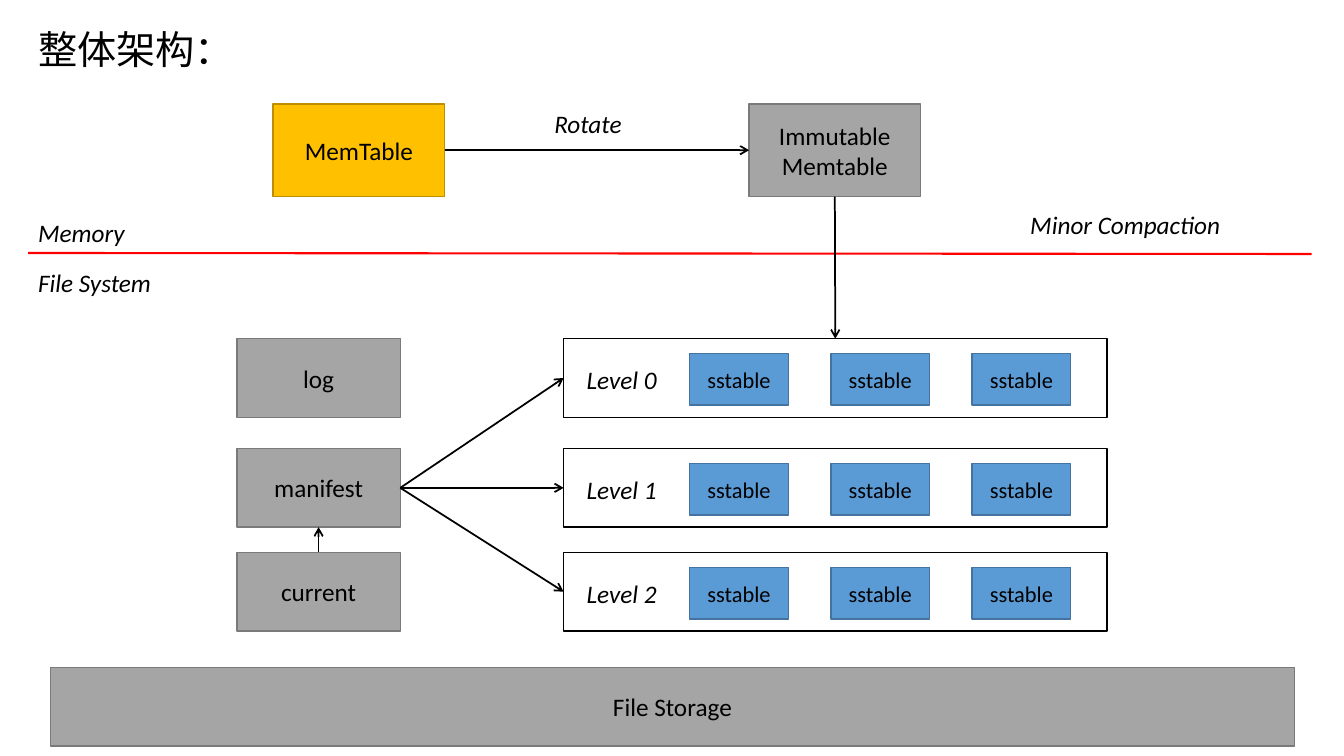
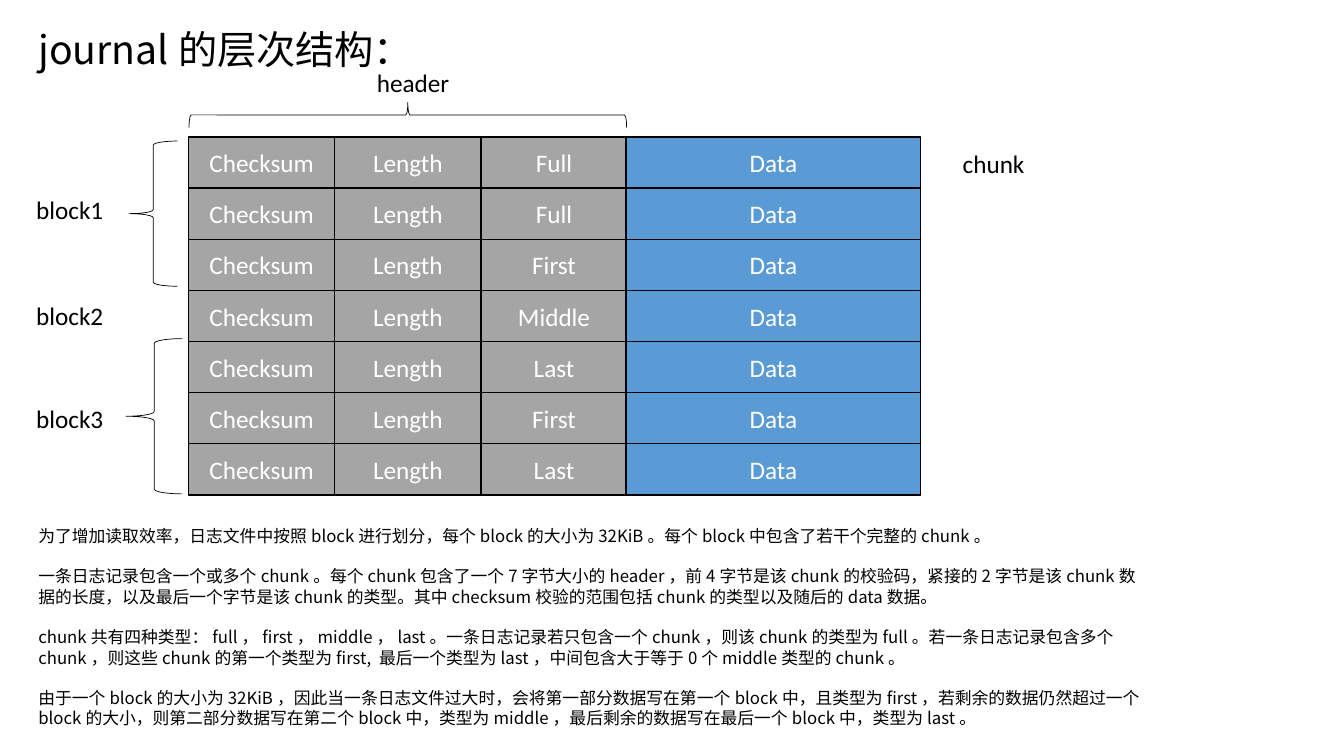
from lxml import etree
from pptx import Presentation
from pptx import util as u
from pptx.dml import color
from pptx.enum import lang, shapes, text
from pptx.oxml import ns

BLACK, WHITE, GRAY, BLUE, GOLD, RED = "000000", "FFFFFF", "A5A5A5", "5B9BD5", "FFC000", "FF0000"
EDGES = {GRAY: "7A7A7A", BLUE: "43739E", GOLD: "BD8E00", WHITE: BLACK}
LATIN, HAN = "Calibri", "Noto Sans CJK JP"
LEFT = 0.28
TOP, SIDE, BASE, RIGHT = range(4)
RECT = shapes.MSO_SHAPE.FLOWCHART_PROCESS
BRACE = shapes.MSO_SHAPE.LEFT_BRACE
NOTES = [
    "为了增加读取效率，日志文件中按照block进行划分，每个block的大小为32KiB。每个block中包含了若干个完整的chunk。",
    "一条日志记录包含一个或多个chunk。每个chunk包含了一个7字节大小的header，前4字节是该chunk的校验码，紧接的2字节是该chunk数据的长度，以及最后一个字节是该chunk的类型。其中checksum校验的范围包括chunk的类型以及随后的data数据。",
    "chunk共有四种类型：full，first，middle，last。一条日志记录若只包含一个chunk，则该chunk的类型为full。若一条日志记录包含多个chunk，则这些chunk的第一个类型为first, 最后一个类型为last，中间包含大于等于0个middle类型的chunk。",
    "由于一个block的大小为32KiB，因此当一条日志文件过大时，会将第一部分数据写在第一个block中，且类型为first，若剩余的数据仍然超过一个block的大小，则第二部分数据写在第二个block中，类型为middle，最后剩余的数据写在最后一个block中，类型为last。",
]


def rgb(code):
    return color.RGBColor.from_string(code)


def place(*spot):
    return [u.Inches(n) for n in spot]


def apply(item, **values):
    for name, value in values.items():
        setattr(item, name, value)


class Deck:
    def __init__(self):
        self.show = Presentation()
        apply(self.show, slide_width=u.Inches(13.33), slide_height=u.Inches(7.5))
        self.page = None

    def start(self, title, layout):
        self.page = self.show.slides.add_slide(self.show.slide_layouts[layout])
        self.holder(self.page.shapes.title, (LEFT, 0.2, 5.55, 0.57), [title], 28)

    def holder(self, shape, spot, lines, size):
        left, top, width, height = place(*spot)
        apply(shape, left=left, top=top, width=width, height=height)
        self.letter(shape, lines, size, face=HAN)

    def letter(self, shape, lines, size=18, ink=BLACK, face=LATIN, slant=False,
               align=text.PP_ALIGN.LEFT):
        frame = shape.text_frame
        frame.text = "\n".join(lines)
        apply(frame, word_wrap=True, auto_size=text.MSO_AUTO_SIZE.NONE)
        for para in frame.paragraphs:
            apply(para, alignment=align, space_before=u.Pt(0))
            for run in para.runs:
                apply(run.font, name=face, size=u.Pt(size), italic=slant)
                run.font.color.rgb = rgb(ink)
                if face == HAN:
                    run.font.language_id = lang.MSO_LANGUAGE_ID.SIMPLIFIED_CHINESE
                    mark = etree.SubElement(run.font._element, ns.qn("a:ea"))
                    mark.set("typeface", face)

    def body(self, spot, lines):
        shape = self.page.placeholders[1]
        self.holder(shape, spot, lines, 12)
        for para in shape.text_frame.paragraphs:
            apply(para, line_spacing=u.Pt(14.5), space_after=u.Pt(14.5))
            props = para._p.get_or_add_pPr()
            for name in ("marL", "indent"):
                props.set(name, "0")
            etree.SubElement(props, ns.qn("a:buNone"))

    def label(self, spot, words, slant=False):
        shape = self.page.shapes.add_textbox(*place(*spot))
        self.letter(shape, [words], slant=slant)

    def shape(self, kind, spot, edge, weight):
        shape = self.page.shapes.add_shape(kind, *place(*spot))
        shape.shadow.inherit = False
        shape.line.color.rgb = rgb(edge)
        shape.line.width = u.Pt(weight)
        return shape

    def box(self, spot, words="", fill=GRAY, edge=None, size=18, ink=BLACK):
        shape = self.shape(RECT, spot, edge or EDGES[fill], 1)
        shape.fill.solid()
        shape.fill.fore_color.rgb = rgb(fill)
        if words:
            shape.text_frame.vertical_anchor = text.MSO_ANCHOR.MIDDLE
            self.letter(shape, words.split("\n"), size, ink, align=text.PP_ALIGN.CENTER)
        return shape

    def brace(self, spot, kind=BRACE, turn=0):
        shape = self.shape(kind, spot, BLACK, 0.5)
        shape.fill.background()
        shape.rotation = turn

    def line(self, spot=(0, 0, 0, 0), ink=BLACK, weight=1.5):
        wire = self.page.shapes.add_connector(shapes.MSO_CONNECTOR.STRAIGHT, *place(*spot))
        wire.line.color.rgb = rgb(ink)
        wire.line.width = u.Pt(weight)
        etree.SubElement(wire._element.spPr, ns.qn("a:effectLst"))
        return wire

    def arrow(self, first, out, last, into):
        wire = self.line(weight=1.25)
        wire.begin_connect(first, out)
        wire.end_connect(last, into)
        stroke = wire._element.spPr.find(ns.qn("a:ln"))
        etree.SubElement(stroke, ns.qn("a:tailEnd")).set("type", "arrow")


def draw_whole(deck):
    deck.start("整体架构：", 5)
    table = deck.box((2.71, 1.03, 1.7, 0.92), "MemTable", GOLD)
    frozen = deck.box((7.43, 1.03, 1.7, 0.92), "Immutable\nMemtable")
    deck.line((LEFT, 2.51, 13.01, 2.52), RED)
    files, levels = [], []
    for rank, (name, top) in enumerate(zip(("log", "manifest", "current"), (3.36, 4.45, 5.48))):
        files.append(deck.box((2.35, top, 1.62, 0.78), name))
        levels.append(deck.box((5.59, top, 5.39, 0.78), fill=WHITE))
        deck.label((5.72, top + 0.21, 1.04, 0.4), f"Level {rank}", True)
        for col in range(3):
            deck.box((6.84 + 1.4 * col, top + 0.15, 0.98, 0.51), "sstable", BLUE, size=16)
    deck.box((0.5, 6.62, 12.34, 0.78), "File Storage")
    for words, spot in {
        "Memory": (LEFT, 2.11, 2.57, 0.4),
        "File System": (LEFT, 2.6, 2.57, 0.4),
        "Rotate": (5.4, 1.03, 1.04, 0.4),
        "Minor Compaction": (10.12, 2.03, 2.73, 0.4),
    }.items():
        deck.label(spot, words, True)
    deck.arrow(table, RIGHT, frozen, SIDE)
    deck.arrow(frozen, BASE, levels[0], TOP)
    deck.arrow(files[2], TOP, files[1], BASE)
    for level in levels:
        deck.arrow(files[1], RIGHT, level, SIDE)


def draw_journal(deck):
    deck.start("journal的层次结构：", 1)
    deck.body((LEFT, 5.16, 11.18, 2.12), NOTES)
    high, wide = 3.55 / 7, 1.45
    for row, kind in enumerate(("Full", "Full", "First", "Middle", "Last", "First", "Last")):
        top = 1.36 + row * high
        for col, words in enumerate(("Checksum", "Length", kind)):
            deck.box((1.87 + col * wide, top, wide, high), words, edge=BLACK, ink=WHITE)
        deck.box((6.21, top, 2.92, high), "Data", BLUE, BLACK, ink=WHITE)
    for words, top in (("block1", 1.88), ("block2", 2.93), ("block3", 3.95)):
        deck.label((0.26, top, 1.12, 0.4), words)
    deck.label((9.45, 1.42, 2.1, 0.4), "chunk")
    deck.label((3.64, 0.62, 2.1, 0.4), "header")
    deck.brace((1.28, 1.4, 0.48, 1.44))
    deck.brace((1.25, 3.36, 0.56, 1.54))
    deck.brace((3.92, -1.03, 0.25, 4.34), shapes.MSO_SHAPE.RIGHT_BRACE, 270)


def main():
    deck = Deck()
    draw_whole(deck)
    draw_journal(deck)
    deck.show.save("out.pptx")


if __name__ == "__main__":
    main()
